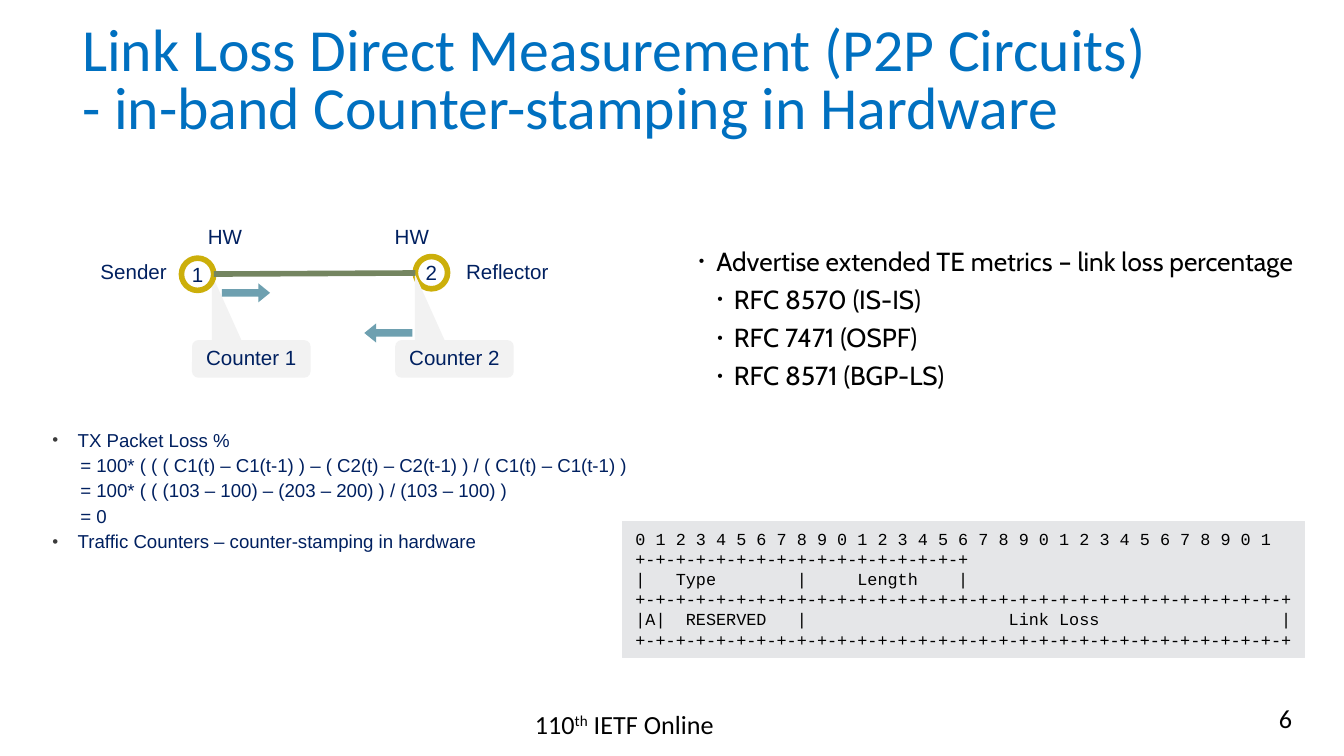
from lxml import etree
from pptx import Presentation
from pptx.dml.color import RGBColor
from pptx.enum.shapes import MSO_CONNECTOR, MSO_SHAPE
from pptx.enum.text import MSO_ANCHOR, MSO_AUTO_SIZE, PP_ALIGN
from pptx.oxml.ns import qn
from pptx.util import Cm, Pt

CALL = MSO_SHAPE.ROUNDED_RECTANGULAR_CALLOUT
OVAL = MSO_SHAPE.OVAL
ARROW = MSO_SHAPE.DOWN_ARROW
RECT = MSO_SHAPE.RECTANGLE
LINE = MSO_CONNECTOR.STRAIGHT
MID = MSO_ANCHOR.MIDDLE
NONE = MSO_AUTO_SIZE.NONE
LEFT, MIDDLE, RIGHT = PP_ALIGN.LEFT, PP_ALIGN.CENTER, PP_ALIGN.RIGHT

HUES = {"title": "0070C0", "navy": "002060", "black": "000000", "dot": "3B3B3B",
        "call": "F2F2F2", "ring": "CCAF0A", "arrow": "6EA0B0", "link": "748560",
        "code": "E5E6E8"}
RGB = {name: RGBColor.from_string(hue) for name, hue in HUES.items()}


def write(para, text, size, face, hue, align=LEFT, space=None):
    para.alignment = align
    if space:
        para.line_spacing = space
    run = para.add_run()
    run.text = text
    run.font.size = Pt(size)
    run.font.name = face
    run.font.color.rgb = RGB[hue]
    return run


def indent(para, left, hang=0, hue=None, size=100):
    props = para._p.get_or_add_pPr()
    props.set("marL", str(Cm(left)))
    props.set("indent", str(Cm(-hang)))
    if hue:
        tone = etree.SubElement(props, qn("a:buClr"))
        etree.SubElement(tone, qn("a:srgbClr"), val=HUES[hue])
        etree.SubElement(props, qn("a:buSzPct"), val=str(size * 1000))
        etree.SubElement(props, qn("a:buFont"), typeface="Arial")
        etree.SubElement(props, qn("a:buChar"), char="•")


deck = Presentation()
deck.slide_width, deck.slide_height = Cm(25.4), Cm(14.29)
slide = deck.slides.add_slide(deck.slide_layouts[5])
shapes = slide.shapes

title = shapes.title
title.left, title.top, title.width, title.height = Cm(1.3), Cm(0.56), Cm(22.83), Cm(2.03)
frame = title.text_frame
frame.auto_size = NONE
frame.vertical_anchor = MID
lines = ["Link Loss Direct Measurement (P2P Circuits)",
         "- in-band Counter-stamping in Hardware"]
for i, text in enumerate(lines):
    para = frame.add_paragraph() if i else frame.paragraphs[0]
    para.space_before = Pt(0)
    write(para, text, 32, "Calibri", "title", space=0.8)

box = shapes.add_textbox(Cm(0.74), Cm(7.92), Cm(11.71), Cm(2.92))
frame = box.text_frame
frame.word_wrap = True
lines = [(0, "TX Packet Loss %"),
         (1, "= 100* ( ( ( C1(t) – C1(t-1) ) – ( C2(t) – C2(t-1) ) / ( C1(t) – C1(t-1) )"),
         (1, "= 100* ( ( (103 – 100) – (203 – 200) ) / (103 – 100) )"),
         (1, "= 0"),
         (0, "Traffic Counters – counter-stamping in hardware")]
for i, (level, text) in enumerate(lines):
    para = frame.add_paragraph() if i else frame.paragraphs[0]
    para.level = level
    if level:
        indent(para, 0.53)
    else:
        indent(para, 0.48, 0.48, "dot", 90)
    write(para, text, 10, "Arial", "navy", space=Pt(13.6))

tip = [-0.333, -2.252, 0.167]
head = [0.392, 0.615]
parts = [(CALL, 3.63, 6.43, 2.24, 0.71, 0, tip, "call", "Counter 1"),
         (OVAL, 7.85, 4.85, 0.61, 0.61, 0, [], None, "2"),
         (OVAL, 3.43, 4.88, 0.61, 0.61, 0, [], None, "1"),
         (ARROW, 4.47, 5.08, 0.36, 0.91, 270, head, "arrow", ""),
         (CALL, 7.47, 6.43, 2.24, 0.71, 0, tip, "call", "Counter 2"),
         (ARROW, 7.16, 5.84, 0.36, 0.91, 90, head, "arrow", "")]
for kind, x, y, w, h, turn, bends, fill, text in parts:
    part = shapes.add_shape(kind, Cm(x), Cm(y), Cm(w), Cm(h))
    part.shadow.inherit = False
    part.rotation = turn
    for i, bend in enumerate(bends):
        part.adjustments[i] = bend
    if fill:
        part.fill.solid()
        part.fill.fore_color.rgb = RGB[fill]
        part.line.fill.background()
    else:
        part.fill.background()
        part.line.color.rgb = RGB["ring"]
        part.line.width = Pt(3)
    if text:
        frame = part.text_frame
        frame.word_wrap = False
        frame.vertical_anchor = MID
        frame.margin_left = frame.margin_right = Cm(0.23 if fill else 0)
        frame.margin_top = frame.margin_bottom = Cm(0.1 if fill else 0)
        write(frame.paragraphs[0], text, 11, "Arial", "navy", MIDDLE, 0.9 if fill else None)

link = shapes.add_connector(LINE, Cm(4.04), Cm(5.18), Cm(7.85), Cm(5.16))
link.line.color.rgb = RGB["link"]
link.line.width = Pt(3)
etree.SubElement(link._element.spPr, qn("a:effectLst"))

labels = [("HW", 7.26, 4.11, 1.07), ("HW", 3.73, 4.11, 1.07),
          ("Sender", 1.7, 4.78, 1.68), ("Reflector", 8.61, 4.78, 1.98)]
for text, x, y, w in labels:
    frame = shapes.add_textbox(Cm(x), Cm(y), Cm(w), Cm(0.74)).text_frame
    frame.word_wrap = False
    frame.margin_left = frame.margin_right = Cm(0.2)
    write(frame.paragraphs[0], text, 11, "Arial", "navy")

box = shapes.add_textbox(Cm(13.06), Cm(4.55), Cm(11.63), Cm(3.28))
frame = box.text_frame
frame.word_wrap = True
frame.margin_left = frame.margin_right = 0
lines = ["Advertise extended TE metrics – link loss percentage",
         "RFC 8570 (IS-IS)", "RFC 7471 (OSPF)", "RFC 8571 (BGP-LS)"]
for i, text in enumerate(lines):
    para = frame.add_paragraph() if i else frame.paragraphs[0]
    if i:
        para.level = 1
        para.space_before = Pt(4.5)
        indent(para, 0.81, 0.31, "black", 60)
    else:
        indent(para, 0.48, 0.33, "black", 60)
    write(para, text, 14, "Cabin", "black", space=0.95)

code = shapes.add_shape(RECT, Cm(11.76), Cm(9.86), Cm(12.9), Cm(2.57))
code.shadow.inherit = False
code.fill.solid()
code.fill.fore_color.rgb = RGB["code"]
code.line.color.rgb = RGB["code"]
code.line.width = Pt(0.75)
frame = code.text_frame
frame.word_wrap = True
frame.vertical_anchor = MSO_ANCHOR.TOP
frame.margin_right = Cm(0.2)
rule = "+-" * 32 + "+"
lines = ["0 1 2 3 4 5 6 7 8 9 0 1 2 3 4 5 6 7 8 9 0 1 2 3 4 5 6 7 8 9 0 1",
         "+-" * 16 + "+",
         "|   Type        |     Length    |",
         rule,
         "|A|  RESERVED   |                    Link Loss                  |",
         rule]
for i, text in enumerate(lines):
    para = frame.add_paragraph() if i else frame.paragraphs[0]
    write(para, text, 9, "Courier New", "black")

frame = shapes.add_textbox(Cm(9.96), Cm(13.31), Cm(4.45), Cm(0.99)).text_frame
frame.word_wrap = True
frame.margin_left = frame.margin_right = 0
para = frame.paragraphs[0]
indent(para, 0.15)
for text in ["110", "th", " IETF Online"]:
    run = write(para, text, 14, "Calibri", "black", space=0.95)
    if text == "th":
        run.font._element.set("baseline", "30000")

frame = shapes.add_textbox(Cm(18.75), Cm(13.16), Cm(5.92), Cm(0.99)).text_frame
frame.word_wrap = True
write(frame.paragraphs[0], "6", 14, "Calibri", "black", RIGHT)

deck.save("out.pptx")
